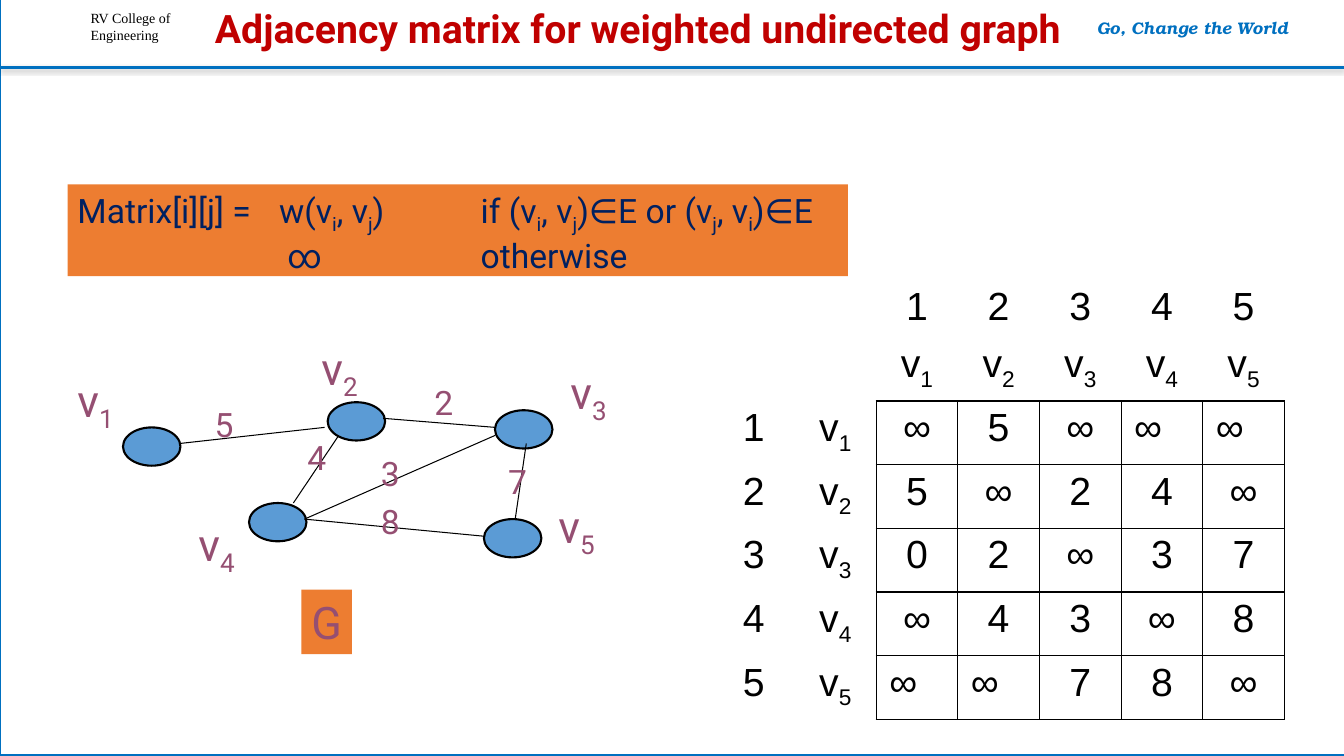
"""Build the slide on the adjacency matrix of a weighted undirected graph."""
from dataclasses import dataclass

from lxml.etree import SubElement
from pptx import Presentation
from pptx.dml.color import RGBColor
from pptx.enum.shapes import MSO_CONNECTOR, MSO_SHAPE
from pptx.enum.text import MSO_ANCHOR, PP_ALIGN
from pptx.oxml.ns import qn
from pptx.util import Inches, Pt


@dataclass(frozen=True)
class Theme:
    """Colours, fonts and type sizes of the slide."""
    white: str = "FFFFFF"
    black: str = "000000"
    blue: str = "0070C0"
    red: str = "C00000"
    navy: str = "002060"
    plum: str = "954F72"
    orange: str = "ED7D31"
    node: str = "5B9BD5"
    body: str = "Roboto"
    grid: str = "Arial"
    serif: str = "Times New Roman"
    motto: str = "TeX Gyre Bonum"
    college_size: int = 10
    motto_size: int = 12
    formula_size: int = 24
    title_size: int = 28
    grid_size: int = 28
    vertex_size: int = 32


THEME = Theme()


@dataclass(frozen=True)
class Style:
    """Type style of a paragraph."""
    font: str
    size: int
    color: str
    bold: bool = False
    italic: bool = False
    align: PP_ALIGN = PP_ALIGN.LEFT


@dataclass(frozen=True)
class Vertex:
    """A graph vertex with its node and label corners."""
    name: str
    node: tuple[float, float]
    label: tuple[float, float]


@dataclass(frozen=True)
class Edge:
    """A weighted edge with its ends and weight corner."""
    weight: str
    start: tuple[float, float]
    end: tuple[float, float]
    label: tuple[float, float]


VERTEX_STYLE = Style(THEME.body, THEME.vertex_size, THEME.plum)
WEIGHT_STYLE = Style(THEME.body, THEME.formula_size, THEME.plum)
FORMULA_STYLE = Style(THEME.body, THEME.formula_size, THEME.navy)
COLLEGE_STYLE = Style(THEME.serif, THEME.college_size, THEME.black)
MOTTO_STYLE = Style(THEME.motto, THEME.motto_size, THEME.blue, True, True, PP_ALIGN.CENTER)
TITLE_STYLE = Style(THEME.body, THEME.title_size, THEME.red, True, align=PP_ALIGN.CENTER)
CENTRED_CELL = Style(THEME.grid, THEME.grid_size, THEME.black, align=PP_ALIGN.CENTER)
LEFT_CELL = Style(THEME.grid, THEME.grid_size, THEME.black)

VERTICES = (
    Vertex("v_1", (1.22, 4.24), (0.67, 3.65)),
    Vertex("v_2", (3.25, 3.99), (3.09, 3.33)),
    Vertex("v_3", (4.91, 4.07), (5.56, 3.57)),
    Vertex("v_4", (2.47, 4.99), (1.87, 5.08)),
    Vertex("v_5", (4.8, 5.15), (5.44, 4.9)),
)
EDGES = (
    Edge("5", (1.78, 4.4), (3.22, 4.24), (2.03, 3.96)),
    Edge("2", (4.91, 4.24), (3.8, 4.15), (4.21, 3.74)),
    Edge("3", (4.91, 4.32), (3.02, 5.15), (3.68, 4.44)),
    Edge("7", (5.11, 5.15), (5.22, 4.4), (4.94, 4.52)),
    Edge("8", (4.8, 5.32), (3.02, 5.15), (3.68, 4.92)),
    Edge("4", (3.36, 4.32), (2.91, 4.99), (2.95, 4.29)),
)
MATRIX = ("∞5∞∞∞", "5∞24∞", "02∞37", "∞43∞8", "∞∞78∞")
LEFT_ALIGNED = {(2, 5), (2, 6), (6, 2), (6, 3)}
HEADERS = 2
FORMULA = (
    "Matrix[i][j] =\tw(v_i, v_j)\tif (v_i, v_j)∈E or (v_j, v_i)∈E",
    "\t ∞ \totherwise",
)


def rgb(color: str) -> RGBColor:
    """Turn a hex colour into an RGB value."""
    return RGBColor.from_string(color)


def write(paragraph, text: str, style: Style) -> None:
    """Write text in which an underscore lowers the next character."""
    paragraph.alignment = style.align
    font = paragraph.font
    font.name, font.size = style.font, Pt(style.size)
    font.bold, font.italic = style.bold, style.italic
    font.color.rgb = rgb(style.color)
    plain, *lowered = text.split("_")
    if plain:
        paragraph.add_run().text = plain
    for part in lowered:
        subscript = paragraph.add_run()
        subscript.text = part[0]
        subscript.font._element.set("baseline", "-25000")
        if part[1:]:
            paragraph.add_run().text = part[1:]


def add_text(slide, box: tuple[float, ...], lines: tuple[str, ...], style: Style,
             fill: str = "", tabs: tuple[float, ...] = ()):
    """Add a text box with one paragraph for each line."""
    textbox = slide.shapes.add_textbox(*map(Inches, box))
    if fill:
        textbox.fill.solid()
        textbox.fill.fore_color.rgb = rgb(fill)
    frame = textbox.text_frame
    frame.word_wrap = True
    for index, line in enumerate(lines):
        paragraph = frame.add_paragraph() if index else frame.paragraphs[0]
        if tabs:
            stops = SubElement(paragraph._p.get_or_add_pPr(), qn("a:tabLst"))
            for stop in tabs:
                SubElement(stops, qn("a:tab"), pos=str(Inches(stop)), algn="l")
        write(paragraph, line, style)
    return frame


def add_outlined(slide, kind: MSO_SHAPE, box: tuple[float, ...], fill: str,
                 line: str, width: float) -> None:
    """Add a filled shape with an outline."""
    shape = slide.shapes.add_shape(kind, *map(Inches, box))
    shape.shadow.inherit = False
    shape.fill.solid()
    shape.fill.fore_color.rgb = rgb(fill)
    shape.line.color.rgb = rgb(line)
    shape.line.width = Pt(width)


def add_line(slide, start: tuple[float, float], end: tuple[float, float],
             color: str, width: float):
    """Add a straight line and return its effect list."""
    line = slide.shapes.add_connector(MSO_CONNECTOR.STRAIGHT, *map(Inches, start + end))
    line.line.color.rgb = rgb(color)
    line.line.width = Pt(width)
    return SubElement(line._element.spPr, qn("a:effectLst"))


def add_header(slide) -> None:
    """Add the frame, the ruled header and the title."""
    add_outlined(slide, MSO_SHAPE.RECTANGLE, (0, -0.01, 13.38, 7.5), THEME.white, THEME.blue, 2)
    add_text(slide, (0.8, 0.05, 1.47, 0.44), ("RV College of", "Engineering"), COLLEGE_STYLE)
    effects = add_line(slide, (0, 0.67), (13.33, 0.67), THEME.blue, 2)
    shadow = SubElement(effects, qn("a:outerShdw"), blurRad="40000", dist="20000",
                        dir="5400000", rotWithShape="0")
    shade = SubElement(shadow, qn("a:srgbClr"), val=THEME.black)
    SubElement(shade, qn("a:alpha"), val="38000")
    add_text(slide, (10.33, 0.13, 3, 0.3), ("Go, Change the World",), MOTTO_STYLE)
    title = add_text(slide, (1.84, 0.1, 8.97, 0.41),
                     ("Adjacency matrix for weighted undirected graph",), TITLE_STYLE)
    title.vertical_anchor = MSO_ANCHOR.MIDDLE
    title.paragraphs[0].line_spacing = 0.9


def add_graph(slide) -> None:
    """Add the graph with its vertices, edges and weights."""
    for vertex in VERTICES:
        add_outlined(slide, MSO_SHAPE.OVAL, vertex.node + (0.57, 0.38),
                     THEME.node, THEME.black, 1.5)
        add_text(slide, vertex.label + (0.59, 0.64), (vertex.name,), VERTEX_STYLE)
    for edge in EDGES:
        add_line(slide, edge.start, edge.end, THEME.black, 0.75)
        add_text(slide, edge.label + (0.39, 0.5), (edge.weight,), WEIGHT_STYLE)
    add_text(slide, (2.99, 5.85, 0.5, 0.64), ("G",), VERTEX_STYLE, THEME.orange)


def add_borders(cell) -> None:
    """Draw a thin black border on all sides of a cell."""
    for side in ("a:lnL", "a:lnR", "a:lnT", "a:lnB"):
        border = SubElement(cell._tc.get_or_add_tcPr(), qn(side), w=str(Pt(1)))
        SubElement(SubElement(border, qn("a:solidFill")), qn("a:srgbClr"), val=THEME.black)


def add_matrix(slide) -> None:
    """Add the adjacency matrix with numbered vertex headings."""
    numbers = [str(number + 1) for number in range(len(VERTICES))]
    names = [vertex.name for vertex in VERTICES]
    rows = [["", "", *numbers], ["", "", *names]]
    rows += [[number, name, *weights] for number, name, weights in zip(numbers, names, MATRIX)]
    matrix = slide.shapes.add_table(len(rows), len(rows[0]), Inches(7.07), Inches(2.78),
                                    Inches(5.67), Inches(4.34)).table
    matrix.first_row = matrix.horz_banding = False
    for row_index, row in enumerate(rows):
        matrix.rows[row_index].height = Inches(0.63 if row_index else 0.56)
        for column_index, text in enumerate(row):
            cell = matrix.cell(row_index, column_index)
            cell.margin_left = cell.margin_right = Inches(0.13)
            if min(row_index, column_index) >= HEADERS:
                add_borders(cell)
            cell.fill.background()
            left = (row_index, column_index) in LEFT_ALIGNED
            write(cell.text_frame.paragraphs[0], text, LEFT_CELL if left else CENTRED_CELL)
    for column in matrix.columns:
        column.width = Inches(0.81)
    style_id = matrix._tbl.tblPr.find(qn("a:tableStyleId"))
    style_id.text = "{2D5ABB26-0587-4C30-8999-92F81FD0307C}"


def main() -> None:
    """Build and save the presentation."""
    deck = Presentation()
    deck.slide_width, deck.slide_height = Inches(13.33), Inches(7.5)
    slide = deck.slides.add_slide(deck.slide_layouts[6])
    add_header(slide)
    add_graph(slide)
    add_matrix(slide)
    add_text(slide, (0.67, 1.83, 7.74, 0.91), FORMULA, FORMULA_STYLE, THEME.orange, (2, 4))
    deck.save("out.pptx")


if __name__ == "__main__":
    main()
